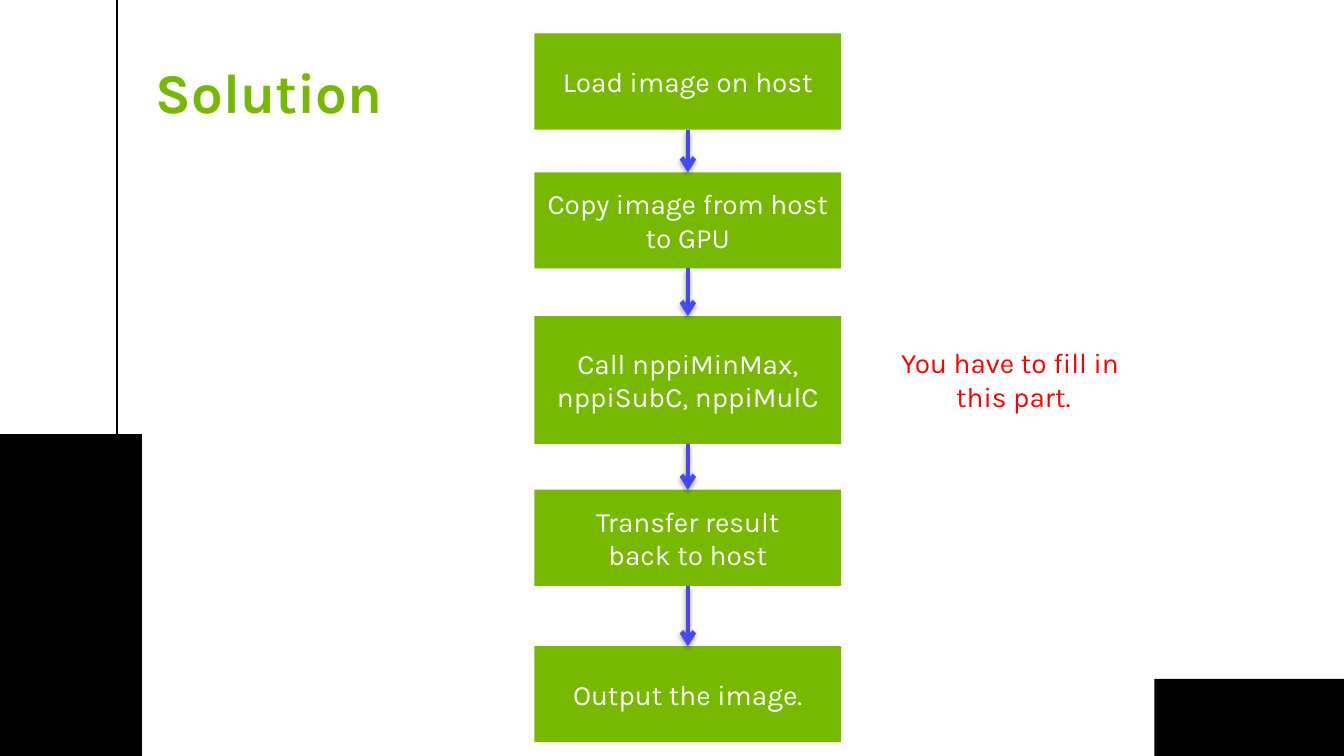
from itertools import pairwise

from lxml import etree
from pptx import Presentation
from pptx.dml.color import RGBColor
from pptx.enum import shapes, text
from pptx.oxml import ns
from pptx.util import Cm, Pt

COLORS = {"frame": "000000", "green": "76B900", "white": "FFFFFF",
          "arrow": "4549F5", "hint": "FF0000"}
FONT = "Karla"


def rgb(name):
    return RGBColor.from_string(COLORS[name])


def write(frame, lines, size, color, align):
    """Fill a text frame with one paragraph per line, all in one style."""
    frame.text = "\n".join(lines)
    for paragraph in frame.paragraphs:
        paragraph.alignment = align
        paragraph.font.name = FONT
        paragraph.font.size = Pt(size)
        paragraph.font.color.rgb = rgb(color)


prs = Presentation()
prs.slide_width, prs.slide_height = Cm(30.48), Cm(17.15)
slide = prs.slides.add_slide(prs.slide_layouts[5])
canvas = slide.shapes

# Black frame: corner blocks and the vertical rule
for left, top, width, height in [(26.18, 15.4, 4.3, 1.75), (0, 9.85, 3.22, 7.3)]:
    corner = canvas.add_shape(shapes.MSO_SHAPE.RECTANGLE, Cm(left), Cm(top), Cm(width), Cm(height))
    corner.shadow.inherit = False
    corner.fill.solid()
    corner.fill.fore_color.rgb = rgb("frame")
    corner.line.fill.background()

rule = canvas.add_connector(shapes.MSO_CONNECTOR.STRAIGHT, Cm(2.66), 0, Cm(2.66), prs.slide_height)
rule.line.color.rgb = rgb("frame")
rule.line.width = Pt(1.25)
etree.SubElement(rule._element.spPr, ns.qn("a:effectLst"))

# Title, set low in its area
title = canvas.title
title.left, title.top, title.width, title.height = Cm(3.28), Cm(0.41), Cm(26.16), Cm(2.18)
title.text_frame.vertical_anchor = text.MSO_ANCHOR.MIDDLE
title.text_frame.auto_size = text.MSO_AUTO_SIZE.NONE
title.text_frame.margin_top = Cm(1.45)
write(title.text_frame, ["Solution"], 36, "green", text.PP_ALIGN.LEFT)
title.text_frame.paragraphs[0].font.bold = True
title.text_frame.paragraphs[0].line_spacing = 0.9

# Flow of steps: top, height, lines
STEP_LEFT, STEP_WIDTH = 12.12, 6.96
steps = [
    (0.76, 2.18, ["Load image on host"]),
    (3.91, 2.18, ["Copy image from host to GPU"]),
    (7.17, 2.9, ["Call nppiMinMax, nppiSubC, nppiMulC"]),
    (11.11, 2.18, ["Transfer result", "back to host"]),
    (14.66, 2.18, ["Output the image."]),
]
for top, height, lines in steps:
    step = canvas.add_shape(shapes.MSO_SHAPE.RECTANGLE, Cm(STEP_LEFT), Cm(top),
                            Cm(STEP_WIDTH), Cm(height))
    step.shadow.inherit = False
    step.fill.solid()
    step.fill.fore_color.rgb = rgb("green")
    step.line.fill.background()
    step.text_frame.vertical_anchor = text.MSO_ANCHOR.MIDDLE
    write(step.text_frame, lines, 18, "white", text.PP_ALIGN.CENTER)

# Arrows between neighbouring steps, each with a soft shadow below
SHADOW = f"""<a:effectLst {ns.nsdecls("a")}>
  <a:outerShdw blurRad="{Pt(3.1)}" dist="{Pt(1.8)}" dir="5400000" rotWithShape="0">
    <a:srgbClr val="000000"><a:alpha val="35000"/></a:srgbClr>
  </a:outerShdw>
</a:effectLst>"""
center = Cm(STEP_LEFT + STEP_WIDTH / 2)
for (top, height, _), (next_top, _, _) in pairwise(steps):
    arrow = canvas.add_connector(shapes.MSO_CONNECTOR.STRAIGHT, center, Cm(top + height),
                                 center, Cm(next_top))
    arrow.line.color.rgb = rgb("arrow")
    arrow.line.width = Pt(3)
    etree.SubElement(arrow.line._get_or_add_ln(), ns.qn("a:tailEnd"), type="arrow")
    arrow._element.spPr.append(etree.fromstring(SHADOW))

# Hint beside the step to complete
hint = canvas.add_textbox(Cm(20.14), Cm(7.72), Cm(5.54), Cm(1.8))
hint.text_frame.word_wrap = False
hint.text_frame.auto_size = text.MSO_AUTO_SIZE.SHAPE_TO_FIT_TEXT
write(hint.text_frame, ["You have to fill in", " this part."], 18, "hint", text.PP_ALIGN.CENTER)

prs.save("out.pptx")
